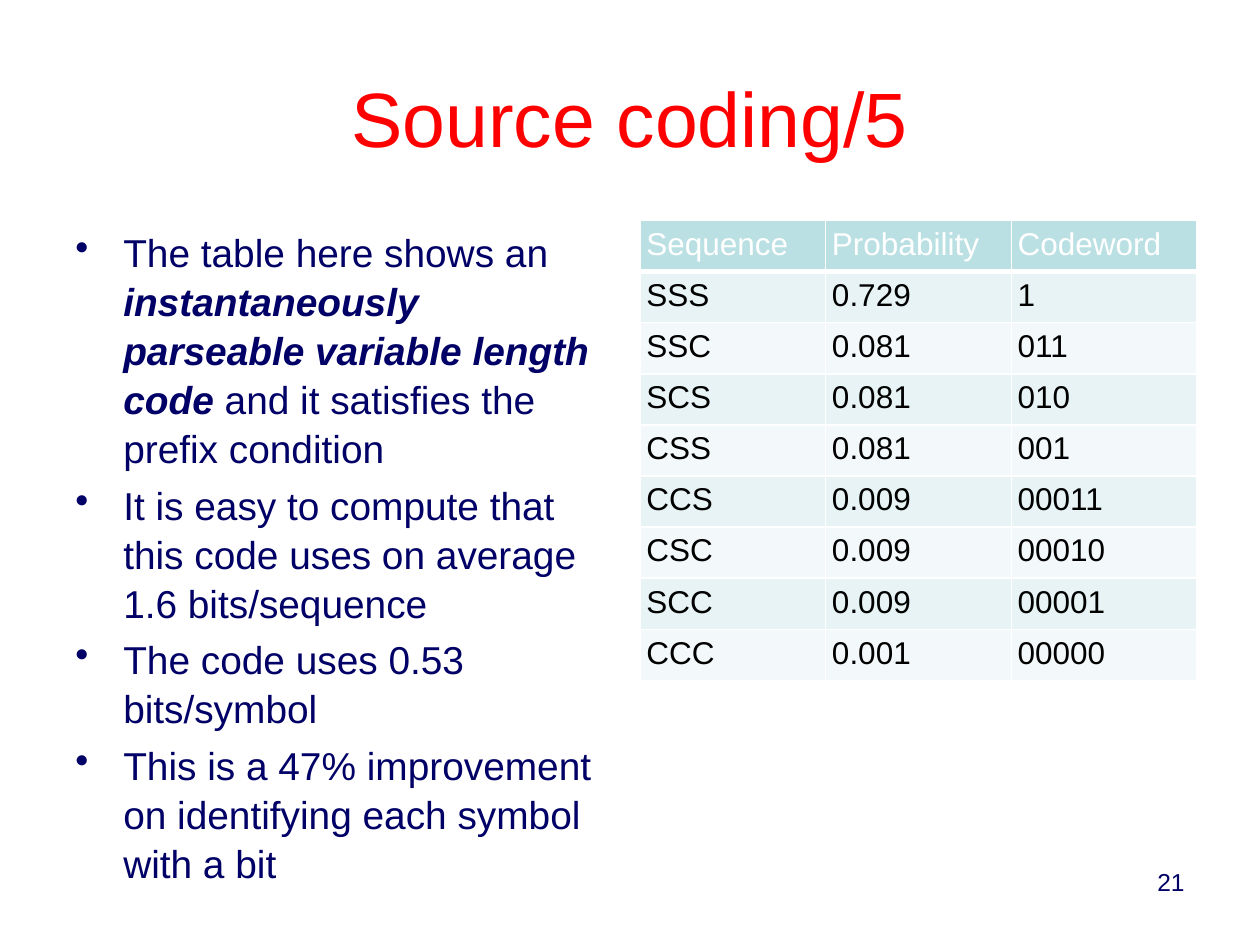
import lxml.etree
import pptx
import pptx.dml.color
import pptx.enum.text
import pptx.oxml.ns
import pptx.util

ALIGN = pptx.enum.text.PP_ALIGN
ANCHOR = pptx.enum.text.MSO_ANCHOR
WIDTH, HEIGHT = 10, 7.5
MARGIN = 0.05 * WIDTH
CONTENT = WIDTH - 2 * MARGIN
COLUMN = 4.42
TOP = 1.75
NAVY = "000066"

POINTS = [
    [("The table here shows an ", False),
     ("instantaneously parseable variable length code", True),
     (" and it satisfies the prefix condition", False)],
    [("It is easy to compute that this code uses on average 1.6 bits/sequence", False)],
    [("The code uses 0.53 bits/symbol", False)],
    [("This is a 47% improvement on identifying each symbol with a bit", False)],
]
CODE = [
    ("Sequence", "Probability", "Codeword"),
    ("SSS", "0.729", "1"),
    ("SSC", "0.081", "011"),
    ("SCS", "0.081", "010"),
    ("CSS", "0.081", "001"),
    ("CCS", "0.009", "00011"),
    ("CSC", "0.009", "00010"),
    ("SCC", "0.009", "00001"),
    ("CCC", "0.001", "00000"),
]


def rgb(value):
    """Return the colour for a hex string."""
    return pptx.dml.color.RGBColor.from_string(value)


def inches(box):
    """Convert a box in inches to lengths."""
    return [pptx.util.Inches(length) for length in box]


def style(paragraph, size, color, align=ALIGN.LEFT):
    """Set the font and alignment of a paragraph."""
    paragraph.alignment = align
    paragraph.font.name = "Arial"
    paragraph.font.size = pptx.util.Pt(size)
    paragraph.font.color.rgb = rgb(color)


def add_frame(slide, box, anchor=ANCHOR.TOP):
    """Add a wrapping text box and return its text frame."""
    frame = slide.shapes.add_textbox(*inches(box)).text_frame
    frame.word_wrap = True
    frame.vertical_anchor = anchor
    return frame


def add_line(slide, box, text, size, color, align, anchor=ANCHOR.TOP):
    """Add a single line of text."""
    paragraph = add_frame(slide, box, anchor).paragraphs[0]
    paragraph.text = text
    style(paragraph, size, color, align)


def add_bullet(paragraph, indent):
    """Give a paragraph a hanging bullet."""
    properties = paragraph._p.get_or_add_pPr()
    length = pptx.util.Inches(indent)
    properties.set("marL", str(length))
    properties.set("indent", str(-length))
    bullet = lxml.etree.SubElement(properties, pptx.oxml.ns.qn("a:buChar"))
    bullet.set("char", "•")


def add_points(slide, box, points, size=22.2):
    """Add the bulleted explanation."""
    frame = add_frame(slide, box)
    for index, parts in enumerate(points):
        paragraph = frame.add_paragraph() if index else frame.paragraphs[0]
        style(paragraph, size, NAVY)
        paragraph.line_spacing = 1.05
        paragraph.space_before = pptx.util.Pt(round(0.2 * size, 1))
        add_bullet(paragraph, 0.38)
        for text, emphasised in parts:
            run = paragraph.add_run()
            run.text = text
            if emphasised:
                run.font.bold = run.font.italic = True


def add_borders(cell, bottom):
    """Draw white borders round a cell."""
    properties = cell._tc.get_or_add_tcPr()
    for index, (side, width) in enumerate(zip("LRTB", (1, 1, 1, bottom))):
        line = lxml.etree.Element(pptx.oxml.ns.qn(f"a:ln{side}"), w=str(pptx.util.Pt(width)))
        fill = lxml.etree.SubElement(line, pptx.oxml.ns.qn("a:solidFill"))
        lxml.etree.SubElement(fill, pptx.oxml.ns.qn("a:srgbClr"), val="FFFFFF")
        properties.insert(index, line)


def add_code_table(slide, box, rows):
    """Add the table of sequences, probabilities and codewords."""
    table = slide.shapes.add_table(len(rows), len(rows[0]), *inches(box)).table
    for row, values in enumerate(rows):
        header = row == 0
        band = "BBE0E3" if header else ("F3F9FA", "E7F3F4")[row % 2]
        for column, value in enumerate(values):
            cell = table.cell(row, column)
            cell.text = value
            cell.margin_left = cell.margin_right = pptx.util.Inches(0.05)
            cell.margin_top = cell.margin_bottom = pptx.util.Inches(0.05)
            cell.fill.solid()
            cell.fill.fore_color.rgb = rgb(band)
            style(cell.text_frame.paragraphs[0], 18, "FFFFFF" if header else "000000")
            add_borders(cell, 3 if header else 1)


def build_slide(slide):
    """Place the title, points, table and page number."""
    right = WIDTH - MARGIN
    add_line(slide, (MARGIN, 0.04 * HEIGHT, CONTENT, 1.25), "Source coding/5", 44,
             "FF0000", ALIGN.CENTER, ANCHOR.MIDDLE)
    add_code_table(slide, (right - COLUMN, TOP, COLUMN, 3.65), CODE)
    add_points(slide, (MARGIN, TOP, COLUMN, 0.66 * HEIGHT), POINTS)
    add_line(slide, (right - 2.33, 6.83, 2.33, 0.52), "21", 14, NAVY, ALIGN.RIGHT)


def main():
    """Build and save the presentation."""
    presentation = pptx.Presentation()
    presentation.slide_width, presentation.slide_height = inches((WIDTH, HEIGHT))
    build_slide(presentation.slides.add_slide(presentation.slide_layouts[6]))
    presentation.save("out.pptx")


if __name__ == "__main__":
    main()
